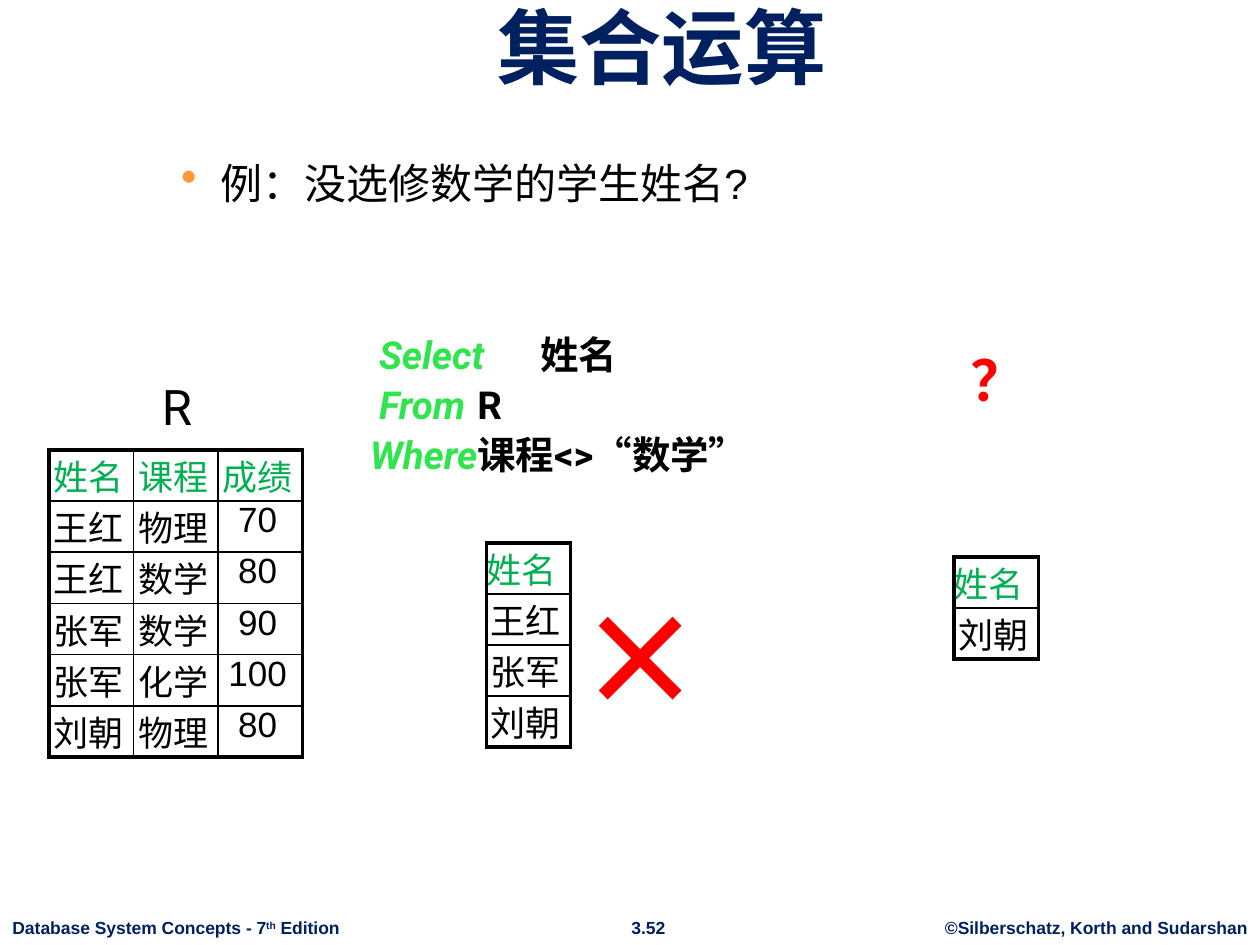
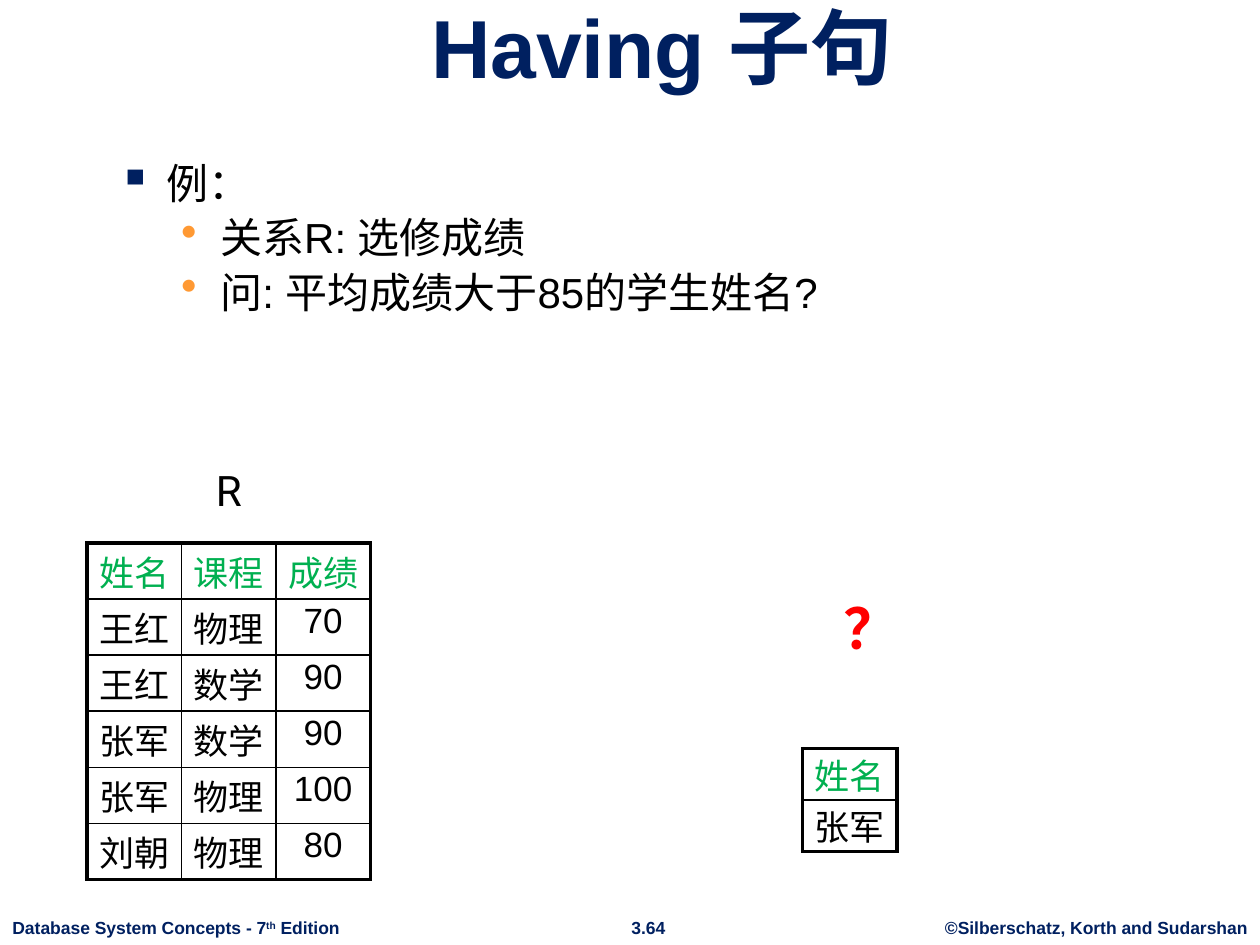
from dataclasses import dataclass

import pptx
import pptx.dml.color
import pptx.enum.text
import pptx.oxml.ns
import pptx.util
from lxml import etree

Inches, Pt = pptx.util.Inches, pptx.util.Pt
ALIGN = pptx.enum.text.PP_ALIGN
ANCHOR = pptx.enum.text.MSO_ANCHOR
qn = pptx.oxml.ns.qn


@dataclass(frozen=True)
class Theme:
    navy: str = "002060"
    orange: str = "FF9933"
    black: str = "000000"
    white: str = "FFFFFF"
    header: str = "00B050"
    keyword: str = "30E44E"
    red: str = "FF0000"
    latin: str = "Arial"
    code: str = "Roboto"
    quote: str = "Times New Roman"
    cjk: str = "Noto Sans CJK SC"
    footer_pt: float = 10
    cell_pt: float = 20
    code_pt: float = 22
    body_pt: float = 24
    label_pt: float = 28
    question_pt: float = 32
    title_pt: float = 47
    cross_pt: float = 72
    outer_line: float = 2.25
    inner_line: float = 1


T = Theme()


@dataclass(frozen=True)
class Bullet:
    char: str
    color: str
    left: float
    hang: float


TOP = Bullet("▪", T.navy, 0.38, 0.38)
SUB = Bullet("•", T.orange, 0.81, 0.31)


@dataclass(frozen=True)
class CodeLine:
    keyword: str
    rest: list[tuple[str, str]]
    indent: float
    tab: float


@dataclass(frozen=True)
class Grid:
    """A relation: the first row is the header."""
    left: float
    top: float
    height: float
    col_width: float
    rows: list[str]
    pad_left: float
    pad_v: float = 0
    header_align: ALIGN = ALIGN.CENTER


# Text
def rgb(color: str) -> pptx.dml.color.RGBColor:
    return pptx.dml.color.RGBColor.from_string(color)


def add_run(p, text: str, *, size: float, color: str = T.black, font: str = T.latin,
            bold: bool = False, italic: bool = False, raised: bool = False) -> None:
    r = p.add_run()
    r.text = text
    f = r.font
    f.size, f.name, f.bold, f.italic = Pt(size), font, bold, italic
    f.color.rgb = rgb(color)
    rpr = r.font._element
    rpr.set("lang", "zh-CN")
    if raised:
        rpr.set("baseline", "30000")
    rpr.find(qn("a:latin")).addnext(
        etree.Element(qn("a:ea"), typeface=T.cjk))


def add_box(s, left: float, top: float, width: float, height: float, *,
            wrap: bool = True, anchor: ANCHOR = ANCHOR.TOP, pad: float = 0.1):
    sp = s.shapes.add_textbox(Inches(left), Inches(top), Inches(width), Inches(height))
    tf = sp.text_frame
    tf.word_wrap, tf.vertical_anchor = wrap, anchor
    tf.margin_left = tf.margin_right = Inches(pad)
    return tf


def add_label(s, text: str, left: float, top: float, width: float, height: float, *,
              align: ALIGN = ALIGN.CENTER, wrap: bool = True, pad: float = 0.1,
              anchor: ANCHOR = ANCHOR.TOP, spacing: float | None = None, **style):
    p = add_box(s, left, top, width, height, wrap=wrap, anchor=anchor, pad=pad).paragraphs[0]
    p.alignment = align
    if spacing:
        p.line_spacing = spacing
    add_run(p, text, **style)
    return p


def next_paragraph(tf, index: int, gap: float):
    if index == 0:
        return tf.paragraphs[0]
    p = tf.add_paragraph()
    p.space_before = Pt(gap)
    return p


def add_bullets(s, items: list[tuple[Bullet, str]]) -> None:
    tf = add_box(s, 0.84, 1.2, 8.43, 5.36)
    for i, (bullet, text) in enumerate(items):
        p = next_paragraph(tf, i, 2.4)
        ppr = p._p.get_or_add_pPr()
        ppr.set("marL", str(Inches(bullet.left)))
        ppr.set("indent", str(-Inches(bullet.hang)))
        color = etree.SubElement(ppr, qn("a:buClr"))
        etree.SubElement(color, qn("a:srgbClr"), val=bullet.color)
        etree.SubElement(ppr, qn("a:buSzPct"), val="110000")
        etree.SubElement(ppr, qn("a:buChar"), char=bullet.char)
        add_run(p, text, size=T.body_pt)


def add_query(s, lines: list[CodeLine]) -> None:
    tf = add_box(s, 2.69, 2.58, 3.9, 1.35)
    for i, line in enumerate(lines):
        p = next_paragraph(tf, i, 2)
        ppr = p._p.get_or_add_pPr()
        ppr.set("marL", "0")
        ppr.set("indent", str(Inches(line.indent)))
        tabs = etree.SubElement(ppr, qn("a:tabLst"))
        etree.SubElement(tabs, qn("a:tab"), pos=str(Inches(line.tab)), algn="l")
        add_run(p, line.keyword + "\t", size=T.code_pt, color=T.keyword,
                font=T.code, bold=True, italic=True)
        for text, font in line.rest:
            add_run(p, text, size=T.code_pt, font=font, bold=True)


# Tables
def set_borders(cell, widths: dict[str, float]) -> None:
    tcpr = cell._tc.get_or_add_tcPr()
    for i, (side, width) in enumerate(widths.items()):
        ln = etree.Element(qn(f"a:ln{side}"), w=str(Pt(width)))
        fill = etree.SubElement(ln, qn("a:solidFill"))
        etree.SubElement(fill, qn("a:srgbClr"), val=T.black)
        tcpr.insert(i, ln)


def add_grid(s, grid: Grid) -> None:
    rows = [row.split() for row in grid.rows]
    last_row, last_col = len(rows) - 1, len(rows[0]) - 1
    table = s.shapes.add_table(
        len(rows), len(rows[0]), Inches(grid.left), Inches(grid.top),
        Inches(grid.col_width * len(rows[0])), Inches(grid.height)).table
    table.first_row = table.horz_banding = False
    for row in table.rows:
        row.height = Inches(grid.height / len(rows))
    for i, row in enumerate(rows):
        for j, text in enumerate(row):
            cell = table.cell(i, j)
            cell.margin_left, cell.margin_right = Inches(grid.pad_left), Inches(0.04)
            cell.margin_top = cell.margin_bottom = Inches(grid.pad_v)
            cell.fill.solid()
            cell.fill.fore_color.rgb = rgb(T.white)
            edges = {"L": j == 0, "R": j == last_col, "T": i == 0, "B": i == last_row}
            set_borders(cell, {side: T.outer_line if outer else T.inner_line
                               for side, outer in edges.items()})
            p = cell.text_frame.paragraphs[0]
            p.alignment = ALIGN.CENTER if i else grid.header_align
            add_run(p, text, size=T.cell_pt, color=T.black if i else T.header)


# Shared slide parts
def add_slide(prs, title: str, number: str):
    s = prs.slides.add_slide(prs.slide_layouts[6])
    footer = dict(size=T.footer_pt, color=T.navy, bold=True)
    add_label(s, "©Silberschatz, Korth and Sudarshan", 7.4, 7.23, 2.6, 0.27,
              wrap=False, **footer)
    add_label(s, number, 4.9, 7.23, 0.49, 0.27, wrap=False, **footer)
    p = add_label(s, "Database System Concepts - 7", 0, 7.23, 2.81, 0.27,
                  wrap=False, align=ALIGN.LEFT, **footer)
    add_run(p, "th", raised=True, **footer)
    add_run(p, " Edition", **footer)
    add_label(s, title, 0.84, 0.13, 8.83, 0.67, anchor=ANCHOR.BOTTOM,
              size=T.title_pt, color=T.navy, bold=True)
    return s


def add_question(s, left: float, top: float) -> None:
    add_label(s, "？", left, top, 0.65, 0.65, wrap=False, spacing=1.15,
              size=T.question_pt, color=T.red, font=T.code, bold=True)


# Slides
def set_operations(prs) -> None:
    s = add_slide(prs, "集合运算", "3.52")
    add_bullets(s, [(SUB, "例：没选修数学的学生姓名?")])
    add_label(s, "R", 0.78, 2.94, 1.25, 0.57, size=T.label_pt, font=T.code)
    add_grid(s, Grid(0.39, 3.57, 2.44, 0.67, [
        "姓名 课程 成绩", "王红 物理 70", "王红 数学 80",
        "张军 数学 90", "张军 化学 100", "刘朝 物理 80"], 0))
    add_grid(s, Grid(7.57, 4.42, 0.81, 0.67, ["姓名", "刘朝"], 0,
                     header_align=ALIGN.LEFT))
    add_query(s, [
        CodeLine("Select", [("姓名", T.code)], 0.22, 1.27),
        CodeLine("From", [("R", T.code)], 0.22, 1.21),
        CodeLine("Where", [("课程<>", T.code), ("“", T.quote),
                           ("数学", T.code), ("”", T.quote)], 0.15, 1.22)])
    add_grid(s, Grid(3.86, 4.31, 1.62, 0.67, ["姓名", "王红", "张军", "刘朝"], 0,
                     header_align=ALIGN.LEFT))
    add_label(s, "×", 4.58, 4.56, 1.03, 1.3, align=ALIGN.LEFT, pad=0,
              size=T.cross_pt, color=T.red, font=T.cjk, bold=True)
    add_question(s, 7.6, 2.61)


def having_clause(prs) -> None:
    s = add_slide(prs, "Having 子句", "3.64")
    add_bullets(s, [(TOP, "例："), (SUB, "关系R: 选修成绩"),
                    (SUB, "问: 平均成绩大于85的学生姓名?")])
    add_grid(s, Grid(0.69, 4.31, 2.67, 0.75, [
        "姓名 课程 成绩", "王红 物理 70", "王红 数学 90",
        "张军 数学 90", "张军 物理 100", "刘朝 物理 80"], 0.04, pad_v=0.02))
    add_label(s, "R", 1.19, 3.64, 1.25, 0.5, size=T.body_pt, font=T.code)
    add_grid(s, Grid(6.37, 5.94, 0.82, 0.75, ["姓名", "张军"], 0.04))
    add_question(s, 6.59, 4.58)


def main() -> None:
    prs = pptx.Presentation()
    prs.slide_width, prs.slide_height = Inches(10), Inches(7.5)
    set_operations(prs)
    having_clause(prs)
    prs.save("out.pptx")


if __name__ == "__main__":
    main()
